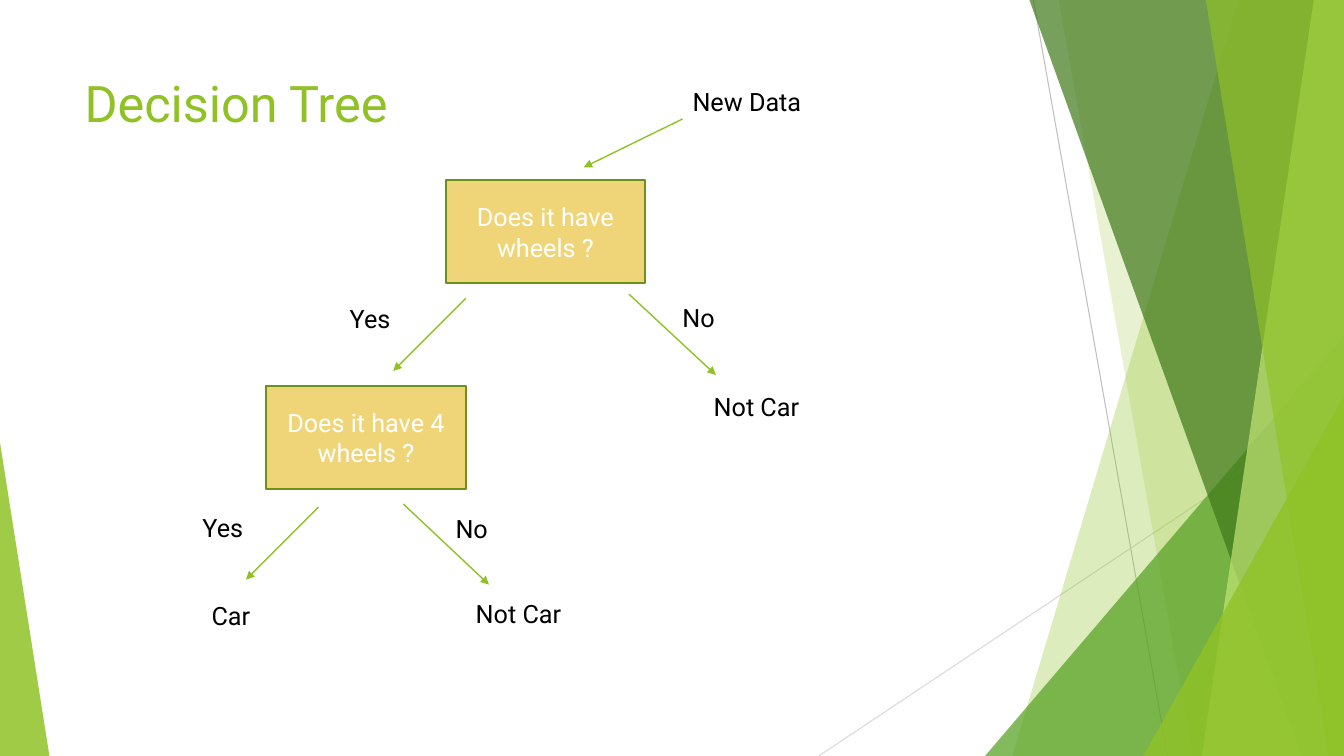
from lxml import etree
from pptx import Presentation
from pptx.dml.color import RGBColor
from pptx.enum.shapes import MSO_CONNECTOR, MSO_SHAPE
from pptx.enum.text import MSO_ANCHOR, PP_ALIGN
from pptx.oxml.ns import qn
from pptx.util import Inches, Pt

GREEN = "90C226"
LABEL_HEIGHT = 0.4
BOX_WIDTH, BOX_HEIGHT = 1.98, 1.02


def color(hex_string):
    return RGBColor.from_string(hex_string)


def write(shape, text, size, hex_string):
    shape.text_frame.word_wrap = True
    run = shape.text_frame.paragraphs[0].add_run()
    run.text = text
    run.font.name = "Roboto"
    run.font.size = Pt(size)
    run.font.color.rgb = color(hex_string)


presentation = Presentation()
presentation.slide_width = Inches(13.33)
presentation.slide_height = Inches(7.5)
slide = presentation.slides.add_slide(presentation.slide_layouts[6])
shapes = slide.shapes

# Lines: start, end, colour, width, arrowhead; the first two are decoration
lines = [
    ((10.25, 0), (11.58, 7.5), "BFBFBF", 0.75, False),
    ((13.33, 4.03), (8.12, 7.5), "D9D9D9", 0.75, False),
    ((6.77, 1.18), (5.79, 1.66), GREEN, 1, True),
    ((4.62, 2.96), (3.9, 3.68), GREEN, 1, True),
    ((6.24, 2.92), (7.1, 3.72), GREEN, 1, True),
    ((3.16, 5.03), (2.44, 5.75), GREEN, 1, True),
    ((4, 5), (4.85, 5.8), GREEN, 1, True),
]
for start, end, line_color, width, has_arrow in lines:
    connector = shapes.add_connector(
        MSO_CONNECTOR.STRAIGHT, *(Inches(value) for value in start + end))
    connector.line.color.rgb = color(line_color)
    connector.line.width = Pt(width)
    if has_arrow:
        etree.SubElement(connector.line._get_or_add_ln(), qn("a:tailEnd"), type="triangle")
    etree.SubElement(connector._element.spPr, qn("a:effectLst"))

# Translucent facets: bands run from top x to bottom x and out to the right edge;
# triangles give left, top, width, height and apex position
facets = [
    ("band", (12.28, 10.04), GREEN, 30),
    ("band", (10.5, 11.83), GREEN, 20),
    ("triangle", (9.77, 3.33, 3.56, 4.17, 1), "54A021", 72),
    ("band", (10.21, 12.91), "3F7819", 70),
    ("band", (13.03, 11.92), "C0E474", 70),
    ("band", (11.96, 13.18), GREEN, 65),
    ("triangle", (11.34, 3.93, 1.99, 3.57, 1), GREEN, 80),
    ("triangle", (0, 4.39, 0.49, 3.11, 0), GREEN, 85),
]
for kind, geometry, fill_color, opacity in facets:
    if kind == "band":
        top_x, bottom_x = geometry
        builder = shapes.build_freeform(Inches(top_x), 0)
        corners = [(13.33, 0), (13.33, 7.5), (bottom_x, 7.5)]
        builder.add_line_segments([(Inches(x), Inches(y)) for x, y in corners])
        facet = builder.convert_to_shape()
    else:
        *bounds, apex = geometry
        facet = shapes.add_shape(
            MSO_SHAPE.ISOSCELES_TRIANGLE, *(Inches(value) for value in bounds))
        facet.adjustments[0] = apex
    facet.shadow.inherit = False
    facet.line.fill.background()
    facet.fill.solid()
    facet.fill.fore_color.rgb = color(fill_color)
    fill_element = facet._element.spPr.find(qn("a:solidFill"))
    etree.SubElement(fill_element[0], qn("a:alpha"), val=str(opacity * 1000))

# Title
title = shapes.add_textbox(Inches(0.74), Inches(0.67), Inches(9.4), Inches(1.44))
write(title, "Decision Tree", 36, GREEN)

# Question boxes
questions = [
    (4.42, 1.79, "Does it have wheels ?"),
    (2.64, 3.83, "Does it have 4 wheels ?"),
]
for left, top, text in questions:
    box = shapes.add_shape(MSO_SHAPE.RECTANGLE, Inches(left), Inches(top),
                           Inches(BOX_WIDTH), Inches(BOX_HEIGHT))
    box.shadow.inherit = False
    box.fill.solid()
    box.fill.fore_color.rgb = color("F0D578")
    box.line.color.rgb = color("6B901C")
    box.line.width = Pt(1.5)
    write(box, text, 18, "FFFFFF")
    box.text_frame.vertical_anchor = MSO_ANCHOR.MIDDLE
    box.text_frame.paragraphs[0].alignment = PP_ALIGN.CENTER

# Branch and outcome labels
labels = [
    (6.77, 0.81, 2.22, "New Data"),
    (3.37, 2.96, 0.72, "Yes"),
    (6.67, 2.95, 0.86, "No"),
    (6.98, 3.83, 1.09, "Not Car"),
    (1.91, 5.03, 0.72, "Yes"),
    (4.42, 5.04, 0.86, "No"),
    (2, 5.91, 1.09, "Car"),
    (4.62, 5.89, 1.09, "Not Car"),
]
for left, top, width, text in labels:
    label = shapes.add_textbox(Inches(left), Inches(top), Inches(width), Inches(LABEL_HEIGHT))
    write(label, text, 18, "000000")

presentation.save("out.pptx")
